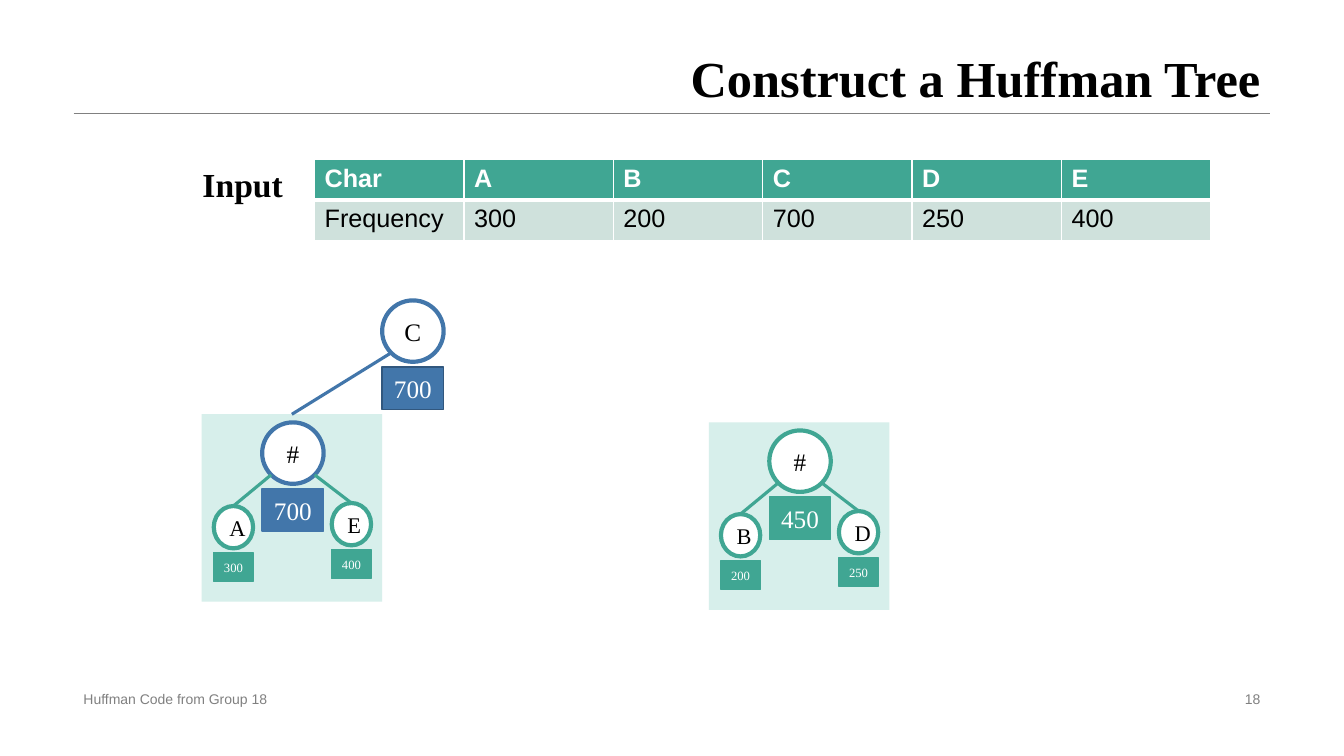
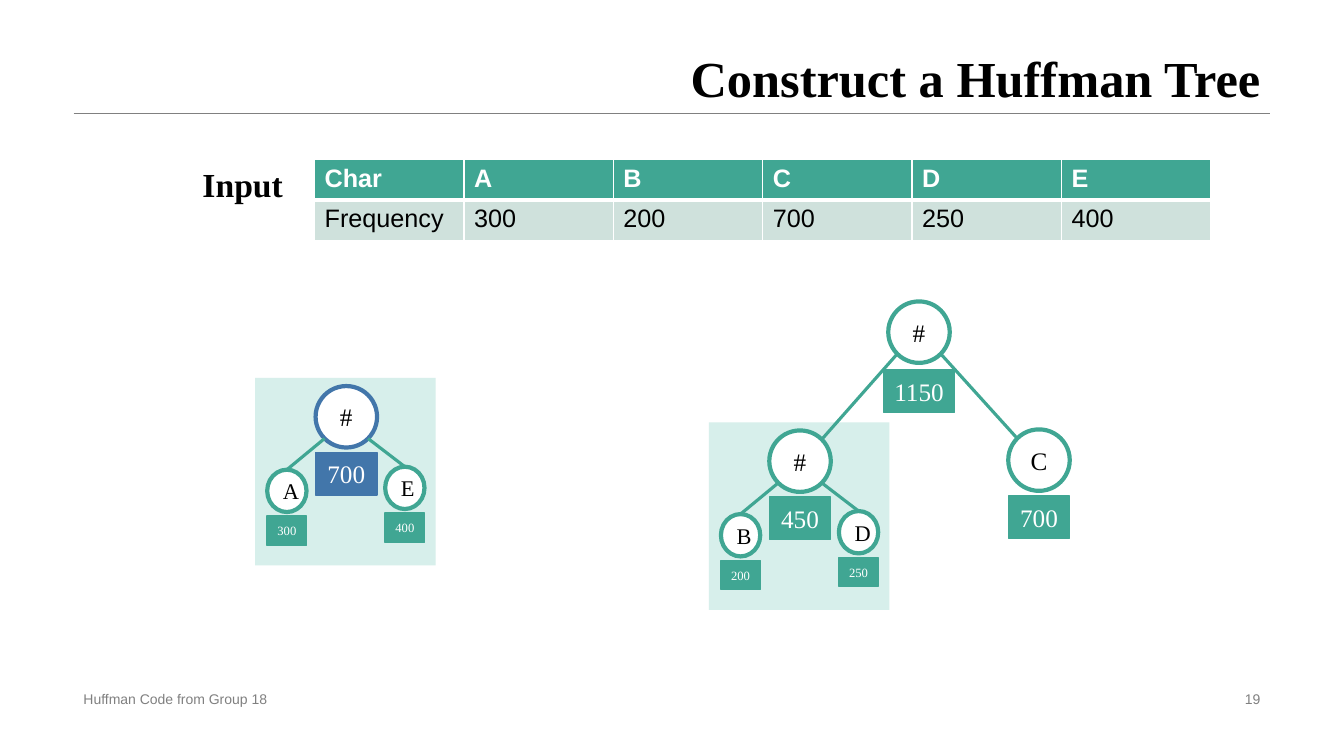
from dataclasses import dataclass
from math import sqrt

from lxml.etree import SubElement
from pptx import Presentation
from pptx.dml.color import RGBColor
from pptx.enum.shapes import MSO_CONNECTOR as Connector, MSO_SHAPE as Preset
from pptx.enum.text import MSO_ANCHOR as Anchor, PP_ALIGN as Align
from pptx.oxml import parse_xml
from pptx.oxml.ns import nsdecls, qn
from pptx.shapes.shapetree import GroupShapes
from pptx.slide import Slide
from pptx.util import Inches, Pt

SERIF, SANS = "Times New Roman", "Arial"
BLACK, WHITE, GRAY = "000000", "FFFFFF", "808080"
GREEN, BLUE, DARK_BLUE = "40A693", "4276AA", "31577E"
PLATE_FILL, ROW_FILL = "D7EFEB", "CFE1DC"
LEFT, CONTENT_WIDTH, RULE_Y = 0.73, 11.87, 1.12
FREQUENCIES = {"Char": "Frequency", "A": "300", "B": "200", "C": "700", "D": "250", "E": "400"}


@dataclass(frozen=True)
class TextStyle:
    size: float
    color: str = BLACK
    font: str = SERIF
    bold: bool = False
    align: Align = Align.LEFT


@dataclass(frozen=True)
class NodeSize:
    width: float
    height: float
    badge_drop: float
    badge_height: float
    label_points: float
    badge_points: float


LARGE = NodeSize(0.61, 0.61, 0.66, 0.42, 18, 18)
SMALL = NodeSize(0.39, 0.42, 0.46, 0.29, 16, 9)


@dataclass(frozen=True)
class Node:
    label: str
    weight: str
    x: float
    y: float
    size: NodeSize = LARGE
    color: str = GREEN
    badge_line: str = GREEN
    badge_width: float = 0.61
    extra_drop: float = 0

    def rim(self, across: int, down: int) -> tuple[float, float]:
        reach = 1 / sqrt(2) if across and down else 1
        return (self.x + self.size.width / 2 * (1 + across * reach),
                self.y + self.size.height / 2 * (1 + down * reach))


@dataclass(frozen=True)
class Subtree:
    x: float
    y: float
    left: str
    right: str
    weight: str
    color: str = GREEN

    @property
    def root(self) -> Node:
        return Node("#", self.weight, self.x + 0.6, self.y + 0.08,
                    color=self.color, badge_line=self.color)

    @property
    def leaves(self) -> list[Node]:
        return [Node(label, FREQUENCIES[label], self.x + across, self.y + down,
                     SMALL, badge_width=SMALL.width)
                for label, across, down in ((self.left, 0.12, 0.91), (self.right, 1.29, 0.88))]


PLATE_WIDTH, PLATE_HEIGHT = 1.79, 1.86


def color_of(value: str) -> RGBColor:
    return RGBColor.from_string(value)


def write(frame, text: str, style: TextStyle) -> None:
    para = frame.paragraphs[0]
    para.alignment = style.align
    span = para.add_run()
    span.text = text
    span.font.name = style.font
    span.font.size = Pt(style.size)
    span.font.bold = style.bold
    span.font.color.rgb = color_of(style.color)


def add_text(page: Slide, text: str, x: float, y: float, width: float, height: float,
             style: TextStyle, anchor: Anchor = Anchor.MIDDLE):
    box = page.shapes.add_textbox(Inches(x), Inches(y), Inches(width), Inches(height))
    box.text_frame.word_wrap = True
    box.text_frame.vertical_anchor = anchor
    write(box.text_frame, text, style)
    return box


def add_line(shapes, start: tuple[float, float], end: tuple[float, float],
             color: str = GREEN, points: float = 2.25) -> None:
    line = shapes.add_connector(Connector.STRAIGHT, *map(Inches, start + end))
    line.line.color.rgb = color_of(color)
    line.line.width = Pt(points)
    SubElement(line.element.spPr, qn("a:effectLst"))


def add_box(shapes: GroupShapes, preset: Preset, x: float, y: float, width: float,
            height: float, fill: str, line: str | None = None, points: float = 1):
    shape = shapes.add_shape(preset, Inches(x), Inches(y), Inches(width), Inches(height))
    shape.shadow.inherit = False
    shape.fill.solid()
    shape.fill.fore_color.rgb = color_of(fill)
    if line:
        shape.line.color.rgb = color_of(line)
        shape.line.width = Pt(points)
    else:
        shape.line.fill.background()
    return shape


def add_node(shapes: GroupShapes, node: Node) -> None:
    size = node.size
    circle = add_box(shapes, Preset.OVAL, node.x, node.y, size.width, size.height,
                     WHITE, node.color, 3)
    write(circle.text_frame, node.label, TextStyle(size.label_points, align=Align.CENTER))
    badge_x = node.x + (size.width - node.badge_width) / 2
    badge = add_box(shapes, Preset.RECTANGLE, badge_x,
                    node.y + size.badge_drop + node.extra_drop,
                    node.badge_width, size.badge_height, node.color, node.badge_line)
    frame = badge.text_frame
    frame.margin_left = frame.margin_right = Inches(0)
    write(frame, node.weight, TextStyle(size.badge_points, WHITE, align=Align.CENTER))


def add_single(page: Slide, node: Node) -> None:
    add_node(page.shapes.add_group_shape().shapes, node)


def add_subtree(page: Slide, tree: Subtree) -> None:
    shapes = page.shapes.add_group_shape().shapes
    add_box(shapes, Preset.RECTANGLE, tree.x, tree.y, PLATE_WIDTH, PLATE_HEIGHT, PLATE_FILL)
    for node in (*tree.leaves, tree.root):
        add_node(shapes, node)
    for side, leaf in zip((-1, 1), tree.leaves):
        add_line(shapes, tree.root.rim(side, 1), leaf.rim(0, -1))


def set_borders(cell, widths: dict[str, float]) -> None:
    properties = cell._tc.get_or_add_tcPr()
    for position, (side, points) in enumerate(widths.items()):
        properties.insert(position, parse_xml(
            f'<a:ln{side} {nsdecls("a")} w="{Pt(points)}"><a:solidFill>'
            f'<a:srgbClr val="{WHITE}"/></a:solidFill></a:ln{side}>'))


def add_frequency_table(page: Slide) -> None:
    rows = (tuple(FREQUENCIES), tuple(FREQUENCIES.values()))
    table = page.shapes.add_table(2, len(FREQUENCIES), Inches(3.12), Inches(1.58),
                                  Inches(8.89), Inches(0.81)).table
    table.horz_banding = False
    looks = ((GREEN, TextStyle(18, WHITE, SANS, True), {"L": 1, "R": 1, "T": 1, "B": 3}),
             (ROW_FILL, TextStyle(18, BLACK, SANS), {"L": 1, "R": 1, "T": 3, "B": 1}))
    for row, (values, (fill, style, borders)) in enumerate(zip(rows, looks)):
        for column, value in enumerate(values):
            cell = table.cell(row, column)
            cell.fill.solid()
            cell.fill.fore_color.rgb = color_of(fill)
            set_borders(cell, borders)
            write(cell.text_frame, value, style)


def add_page(deck, number: int) -> Slide:
    page = deck.slides.add_slide(deck.slide_layouts[6])
    add_line(page.shapes, (LEFT, RULE_Y), (LEFT + CONTENT_WIDTH, RULE_Y), GRAY, 0.25)
    title = add_text(page, "Construct a Huffman Tree", LEFT, 0, CONTENT_WIDTH, RULE_Y,
                     TextStyle(36, bold=True, align=Align.RIGHT), Anchor.BOTTOM)
    title.text_frame.paragraphs[0].line_spacing = 0.9
    add_text(page, "Huffman Code from Group 18", LEFT, 6.82, 4.53, 0.23,
             TextStyle(10, GRAY, SANS))
    add_text(page, str(number), 9.42, 6.82, 3.18, 0.23,
             TextStyle(10, GRAY, SANS, align=Align.RIGHT))
    add_frequency_table(page)
    add_text(page, "Input", 1.91, 1.58, 1.21, 0.5, TextStyle(24, bold=True), Anchor.TOP)
    return page


def main() -> None:
    deck = Presentation()
    deck.slide_width, deck.slide_height = Inches(13.33), Inches(7.5)
    tree_bd = Subtree(7.03, 4.19, "B", "D", "450")

    page = add_page(deck, 18)
    node_c = Node("C", "700", 3.79, 2.98, color=BLUE, badge_line=DARK_BLUE)
    tree_ae = Subtree(2, 4.11, "A", "E", "700", BLUE)
    add_single(page, node_c)
    add_subtree(page, tree_bd)
    add_subtree(page, tree_ae)
    add_line(page.shapes, node_c.rim(-1, 1), (tree_ae.x + PLATE_WIDTH / 2, tree_ae.y), BLUE)

    page = add_page(deck, 19)
    node_c = Node("C", "700", 10, 4.26)
    parent = Node("#", "1150", 8.81, 2.99, badge_width=0.71, extra_drop=0.02)
    add_subtree(page, tree_bd)
    add_subtree(page, Subtree(2.53, 3.75, "A", "E", "700", BLUE))
    add_single(page, node_c)
    add_single(page, parent)
    for side, child in ((-1, tree_bd.root), (1, node_c)):
        add_line(page.shapes, parent.rim(side, 1), child.rim(-side, -1))

    deck.save("out.pptx")


if __name__ == "__main__":
    main()
